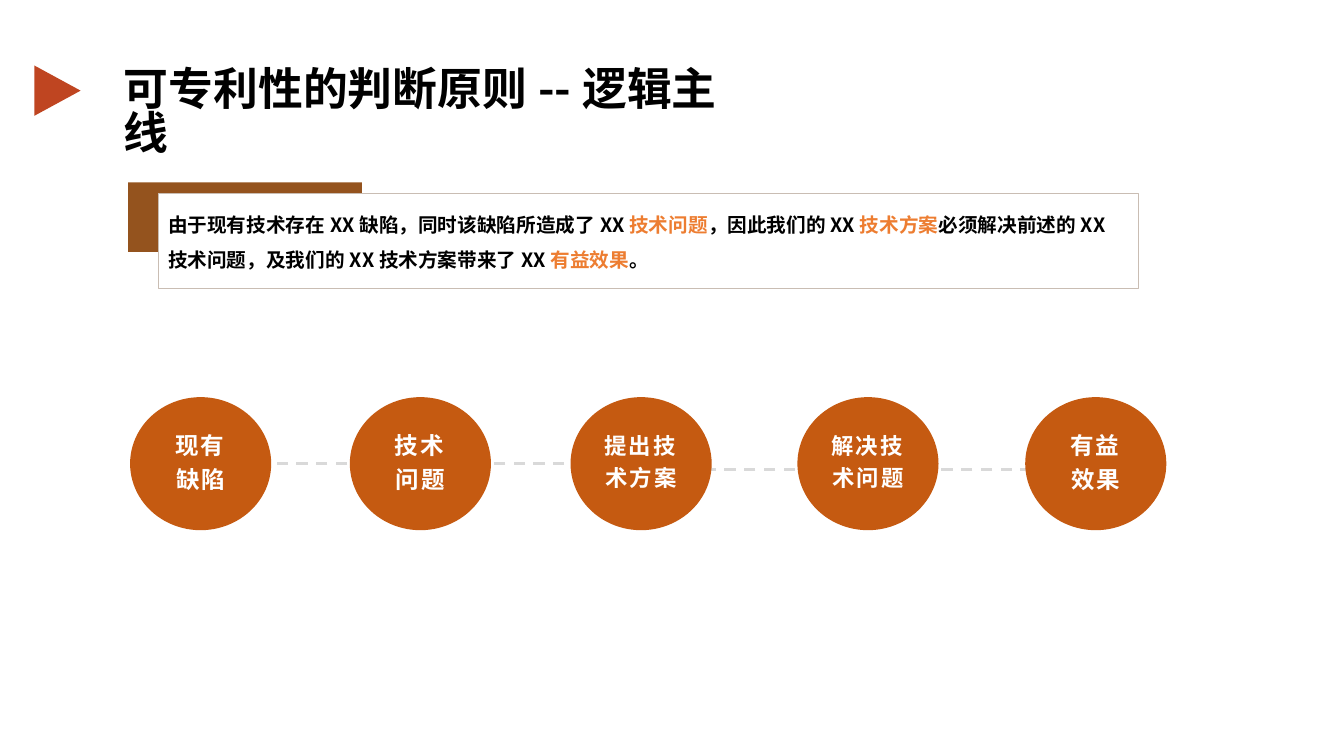
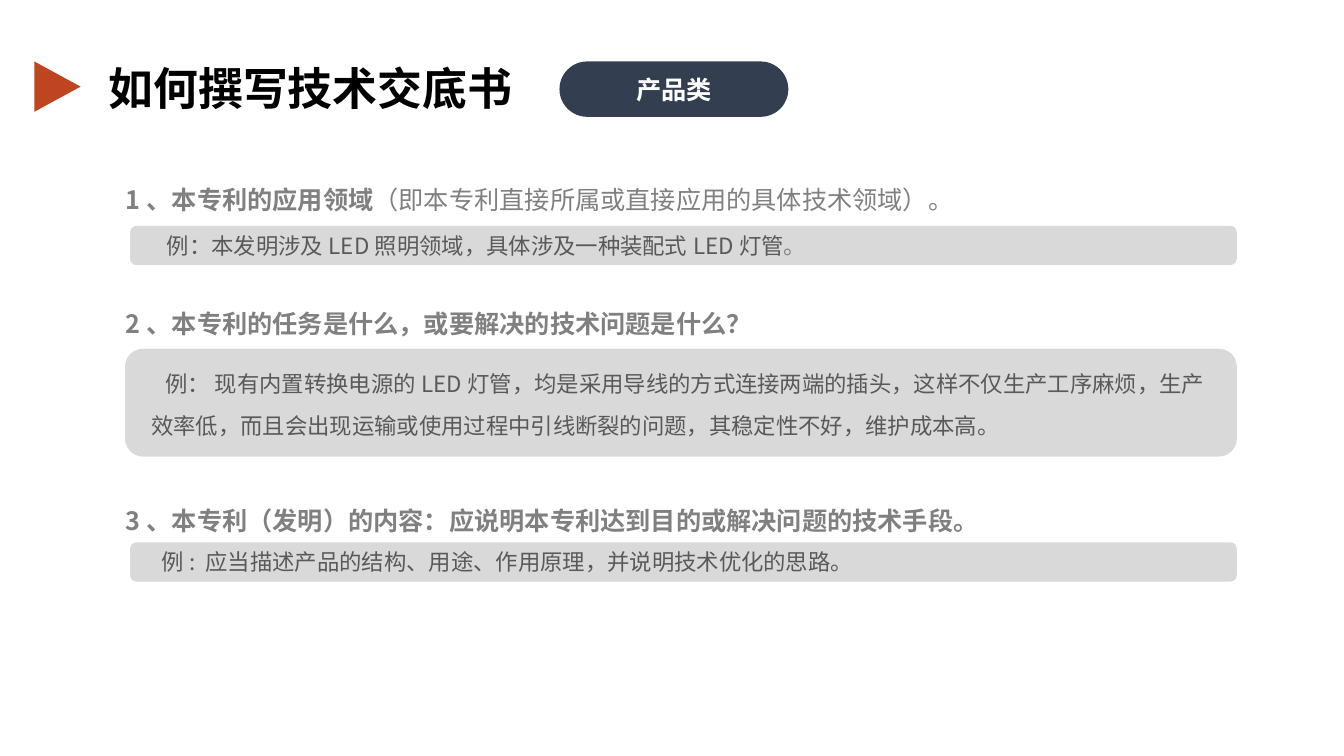
"""Build two slides on patentability and on writing a technical disclosure."""
from lxml.etree import SubElement
from pptx import Presentation
from pptx.dml.color import RGBColor
from pptx.enum.dml import MSO_LINE
from pptx.enum.shapes import MSO_CONNECTOR, MSO_SHAPE as Preset
from pptx.enum.text import MSO_ANCHOR as Anchor, PP_ALIGN as Align
from pptx.oxml.ns import qn
from pptx.util import Inches, Pt

COLOURS = {
    "black": "000000", "white": "FFFFFF", "mark": "BF4521", "orange": "ED7D31",
    "brown": "94531E", "border": "C9BDB3", "rust": "C55A11", "navy": "333F50",
    "pale": "D9D9D9", "heading": "808080", "example": "595959",
}
CJK = "Noto Sans CJK SC"

deck = Presentation()
deck.slide_width, deck.slide_height = Inches(13.33), Inches(7.5)
COLUMN, ROW = deck.slide_width / 100, deck.slide_height / 100


def add_box(page, area, preset=None, fill=None):
    """Add a preset shape or a text box; area is left, top, width, height in percent."""
    left, top, width, height = (int(n * unit) for n, unit in zip(area, (COLUMN, ROW) * 2))
    if preset is None:
        return page.shapes.add_textbox(left, top, width, height)
    box = page.shapes.add_shape(preset, left, top, width, height)
    box.shadow.inherit = False
    box.fill.solid()
    box.fill.fore_color.rgb = RGBColor.from_string(COLOURS[fill])
    box.line.fill.background()
    return box


def write(box, runs, size, align=Align.LEFT, anchor=Anchor.MIDDLE, pitch=None,
          insets=(7, 4, 7, 4), indent=0, font=CJK, tracking=0):
    """Write one paragraph from runs of text, colour and bold; lengths are points."""
    frame = box.text_frame
    frame.word_wrap = True
    frame.vertical_anchor = anchor
    frame.margin_left, frame.margin_top, frame.margin_right, frame.margin_bottom = map(Pt, insets)
    para = frame.paragraphs[0]
    para.alignment = align
    if pitch:
        para.line_spacing = Pt(pitch)
    if indent:
        para._p.get_or_add_pPr().set("indent", str(Pt(indent)))
    for text, colour, bold in runs:
        span = para.add_run()
        span.text = text
        span.font.size, span.font.bold, span.font.name = Pt(size), bold, font
        span.font.color.rgb = RGBColor.from_string(COLOURS[colour])
        properties = span.font._element
        SubElement(properties, qn("a:ea")).set("typeface", font)
        if tracking:
            properties.set("spc", str(int(tracking * 100)))


pages = []
for title, left, width, mark_top in (
    ("可专利性的判断原则--逻辑主线", 8.48, 47.78, 8.93),
    ("如何撰写技术交底书", 7.35, 33.15, 8.4),
):
    page = deck.slides.add_slide(deck.slide_layouts[6])
    mark = add_box(page, (2.4, mark_top, 3.75, 6.13), Preset.ISOSCELES_TRIANGLE, "mark")
    mark.rotation = 90
    write(add_box(page, (left, 8.53, width, 7.07)), [(title, "black", True)], 32,
          anchor=Anchor.TOP, pitch=31.4)
    pages.append(page)
logic_page, writing_page = pages

add_box(logic_page, (9.53, 24.13, 17.4, 9.2), Preset.RECTANGLE, "brown")
panel = add_box(logic_page, (11.78, 25.6, 72.9, 12.53), Preset.RECTANGLE, "white")
panel.line.color.rgb = RGBColor.from_string(COLOURS["border"])
panel.line.width = Pt(0.75)
write(panel, [
    ("由于现有技术存在XX缺陷，同时该缺陷所造成了XX", "black", True),
    ("技术问题", "orange", True),
    ("，因此我们的XX", "black", True),
    ("技术方案", "orange", True),
    ("必须解决前述的XX技术问题，及我们的XX技术方案带来了XX", "black", True),
    ("有益效果", "orange", True),
    ("。", "black", True),
], 14, pitch=24.6, insets=(7, 0, 7, 6))

link = logic_page.shapes.add_connector(
    MSO_CONNECTOR.ELBOW, int(78.23 * COLUMN), int(62.13 * ROW),
    int(20.18 * COLUMN), int(61.33 * ROW))
link.line.color.rgb = RGBColor.from_string(COLOURS["pale"])
link.line.width = Pt(2)
link.line.dash_style = MSO_LINE.DASH
SubElement(link._element.spPr, qn("a:effectLst"))

for step, left, size, side in (
    ("现有缺陷", 9.68, 16.8, 15),
    ("技术问题", 26.03, 16.8, 15),
    ("提出技术方案", 42.45, 16, 5),
    ("解决技术问题", 59.33, 16, 5),
    ("有益效果", 76.28, 16.8, 15),
):
    circle = add_box(logic_page, (left, 52.53, 10.5, 17.6), Preset.OVAL, "rust")
    write(circle, [(step, "white", True)], size, align=Align.CENTER, pitch=1.43 * size,
          insets=(side, 0, side, 6), font="Arial", tracking=1.5)

pill = add_box(writing_page, (41.63, 8.13, 17.03, 7.33), Preset.ROUNDED_RECTANGLE, "navy")
pill.adjustments[0] = 0.5
write(pill, [("产品类", "white", True)], 18, align=Align.CENTER)

sections = (
    (23.73, [("1、本专利的应用领域", "heading", True),
             ("（即本专利直接所属或直接应用的具体技术领域）。", "heading", False)],
     (9.68, 29.87, 82.35, 5.2),
     [("例：本发明涉及LED照明领域，具体涉及一种装配式LED灯管", "example", False),
      ("。", "heading", False)],
     {"insets": (25, 0, 7, 0)}),
    (40.13, [("2、本专利的任务是什么，或要解决的技术问题是什么？", "heading", True)],
     (9.3, 46.13, 82.73, 14.27),
     [("例： 现有内置转换电源的LED灯管，均是采用导线的方式连接两端的插头，"
       "这样不仅生产工序麻烦，生产效率低，而且会出现运输或使用过程中引线断裂的问题，"
       "其稳定性不好，维护成本高。", "example", False)],
     {"insets": (15, 0, 8, 8), "indent": 10, "pitch": 30}),
    (66.13, [("3、本专利（发明）的内容：应说明本专利达到目的或解决问题的技术手段。", "heading", True)],
     (9.68, 71.73, 82.35, 5.2),
     [("例: 应当描述产品的结构、用途、作用原理，并说明技术优化的思路。", "example", False)],
     {"insets": (21, 0, 7, 0)}),
)
for heading_top, heading, bar_area, example, layout in sections:
    write(add_box(writing_page, (8.63, heading_top, 84, 5.33)), heading, 18, insets=(7, 0, 7, 0))
    bar = add_box(writing_page, bar_area, Preset.ROUNDED_RECTANGLE, "pale")
    write(bar, example, 16, **layout)

deck.save("out.pptx")
